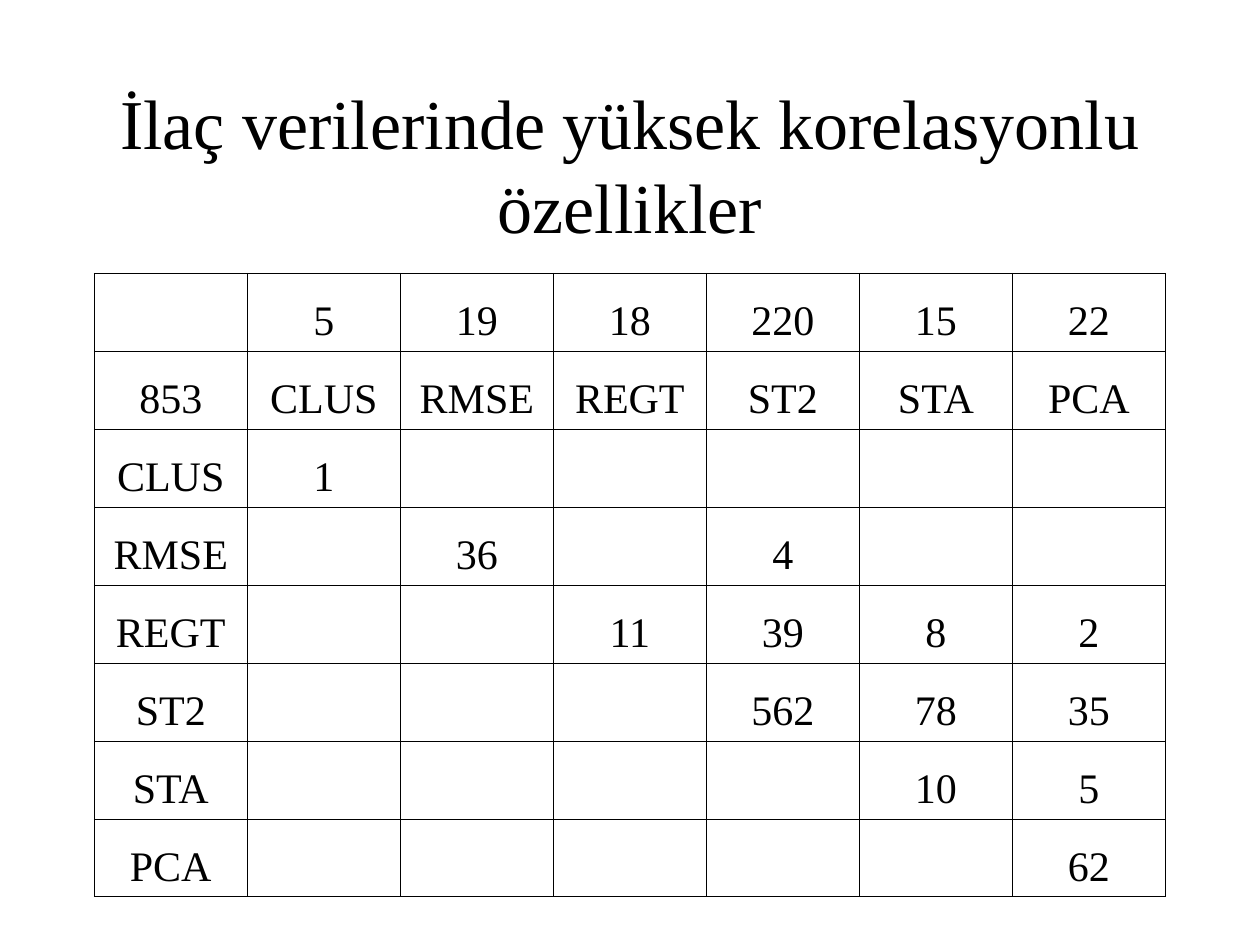
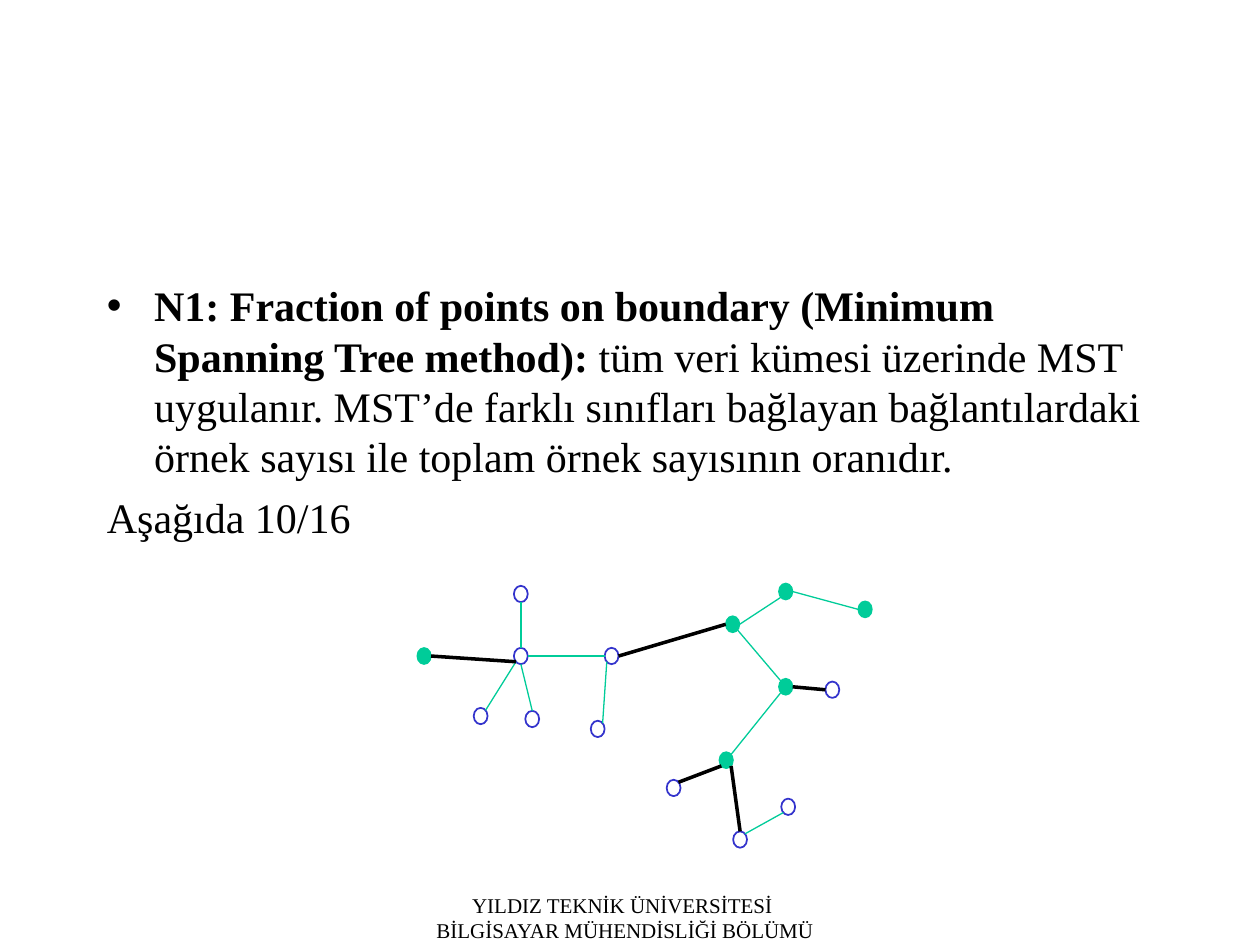
"""Build two slides: a feature correlation table and a spanning tree."""
from lxml import etree
from pptx import Presentation
from pptx.dml.color import RGBColor
from pptx.enum.shapes import MSO_CONNECTOR, MSO_SHAPE
from pptx.enum.text import MSO_ANCHOR, MSO_AUTO_SIZE, PP_ALIGN
from pptx.oxml import parse_xml
from pptx.oxml.ns import nsdecls, qn
from pptx.util import Cm, Pt

BLACK = RGBColor(0x00, 0x00, 0x00)
WHITE = RGBColor(0xFF, 0xFF, 0xFF)
GREEN = RGBColor(0x00, 0xCC, 0x99)
BLUE = RGBColor(0x33, 0x33, 0xCC)
CENTER = PP_ALIGN.CENTER
MIDDLE, BOTTOM = MSO_ANCHOR.MIDDLE, MSO_ANCHOR.BOTTOM
FIXED = MSO_AUTO_SIZE.NONE
DOT, STRAIGHT = MSO_SHAPE.FLOWCHART_CONNECTOR, MSO_CONNECTOR.STRAIGHT
FACE = "Times New Roman"


def style(para, size, align=None):
    para.alignment = align
    for key, val in {"name": FACE, "size": Pt(size)}.items():
        setattr(para.font, key, val)
    para.font.color.rgb = BLACK


def place(shape, left, top, width, height):
    box = {"left": left, "top": top, "width": width, "height": height}
    for key, val in box.items():
        setattr(shape, key, Cm(val))


deck = Presentation()
deck.slide_width, deck.slide_height = Cm(25.4), Cm(19.05)

slide = deck.slides.add_slide(deck.slide_layouts[5])
title = slide.shapes.title
place(title, 1.9, 1.7, 21.6, 3.18)
frame = title.text_frame
frame.text = "İlaç verilerinde yüksek korelasyonlu özellikler"
frame.auto_size, frame.vertical_anchor = FIXED, MIDDLE
style(frame.paragraphs[0], 40, CENTER)

names = ["CLUS", "RMSE", "REGT", "ST2", "STA", "PCA"]
rows = [
    ["", "5", "19", "18", "220", "15", "22"],
    ["853", *names],
    [names[0], "1", "", "", "", "", ""],
    [names[1], "", "36", "", "4", "", ""],
    [names[2], "", "", "11", "39", "8", "2"],
    [names[3], "", "", "", "562", "78", "35"],
    [names[4], "", "", "", "", "10", "5"],
    [names[5], "", "", "", "", "", "62"],
]
table = slide.shapes.add_table(
    len(rows), len(rows[0]), Cm(1.9), Cm(5.51), Cm(21.6), Cm(12.57)).table
table.first_row = table.horz_banding = False
for row, texts in enumerate(rows):
    for col, text in enumerate(texts):
        cell = table.cell(row, col)
        cell.text, cell.vertical_anchor = text, BOTTOM
        style(cell.text_frame.paragraphs[0], 24, CENTER)
        for side in ("lnL", "lnR", "lnT", "lnB"):
            cell._tc.get_or_add_tcPr().append(parse_xml(
                f'<a:{side} {nsdecls("a")} w="{Pt(0.45)}"><a:solidFill>'
                f'<a:srgbClr val="{BLACK}"/></a:solidFill></a:{side}>'))
        cell.fill.background()

slide = deck.slides.add_slide(deck.slide_layouts[1])
title = slide.shapes.title.element
title.getparent().remove(title)
body = slide.placeholders[1]
place(body, 1.9, 5.51, 21.6, 7.01)
frame = body.text_frame
frame.auto_size = FIXED
point, note = frame.paragraphs[0], frame.add_paragraph()
lead = point.add_run()
lead.text = ("N1: Fraction of points on boundary "
             "(Minimum Spanning Tree method): ")
lead.font.bold = True
point.add_run().text = (
    "tüm veri kümesi üzerinde MST uygulanır. MST’de farklı sınıfları "
    "bağlayan bağlantılardaki örnek sayısı ile toplam örnek sayısının "
    "oranıdır.")
note.text = "Aşağıda 10/16"
etree.SubElement(note._p.get_or_add_pPr(), qn("a:buNone"))
for para, gap in ((point, 0), (note, 6)):
    para.space_before = Pt(gap)
    style(para, 24)

foot = slide.shapes.add_textbox(Cm(6.7), Cm(17.86), Cm(11.8), Cm(1.27))
frame = foot.text_frame
frame.word_wrap = True
frame.text = "YILDIZ TEKNİK ÜNİVERSİTESİ \nBİLGİSAYAR MÜHENDİSLİĞİ BÖLÜMÜ"
for para in frame.paragraphs:
    style(para, 12, CENTER)

WIDE, HIGH = 0.28, 0.33
full = {
    "a": (8.41, 13.06), "f": (14.63, 12.42), "g": (15.7, 13.68),
    "h": (14.5, 15.16), "k": (15.7, 11.76), "p": (17.3, 12.12),
}
hollow = {
    "b": (10.36, 13.06), "c": (12.19, 13.06), "d": (9.55, 14.27),
    "e": (11.91, 14.53), "i": (13.44, 15.72), "j": (14.78, 16.76),
    "l": (10.59, 14.33), "m": (10.36, 11.81), "n": (15.75, 16.1),
    "o": (16.64, 13.74),
}
nodes = full | hollow
tree = slide.shapes.add_group_shape().shapes
for group, fill, edge, width in ((full, GREEN, GREEN, 0.75),
                                 (hollow, WHITE, BLUE, 1)):
    for left, top in group.values():
        dot = tree.add_shape(DOT, Cm(left), Cm(top), Cm(WIDE), Cm(HIGH))
        dot.shadow.inherit = False
        dot.fill.solid()
        dot.fill.fore_color.rgb = fill
        dot.line.color.rgb, dot.line.width = edge, Pt(width)

spots = {
    "T": (0.5, 0), "L": (0, 0.5), "B": (0.5, 1), "R": (1, 0.5),
    "TL": (0.15, 0.15), "TR": (0.85, 0.15),
    "BL": (0.15, 0.85), "BR": (0.85, 0.85),
}
same = ["g TL f BR", "h TR g BL", "e TR c BL", "c L b R", "b BL d TR",
        "k BL f R", "m B b T", "l T b B", "j TR n BL", "p L k R"]
cross = ["j T h BR", "i TR h BL", "f L c R", "b BL a R", "o L g R"]
for links, color, width in ((same, GREEN, 0.75), (cross, BLACK, 2)):
    for link in links:
        start, out, end, into = link.split()
        ends = []
        for node, spot in ((start, out), (end, into)):
            (left, top), (across, down) = nodes[node], spots[spot]
            ends += [Cm(left + across * WIDE), Cm(top + down * HIGH)]
        line = tree.add_connector(STRAIGHT, *ends)
        line.line.color.rgb, line.line.width = color, Pt(width)
        etree.SubElement(line._element.spPr, qn("a:effectLst"))

deck.save("out.pptx")
